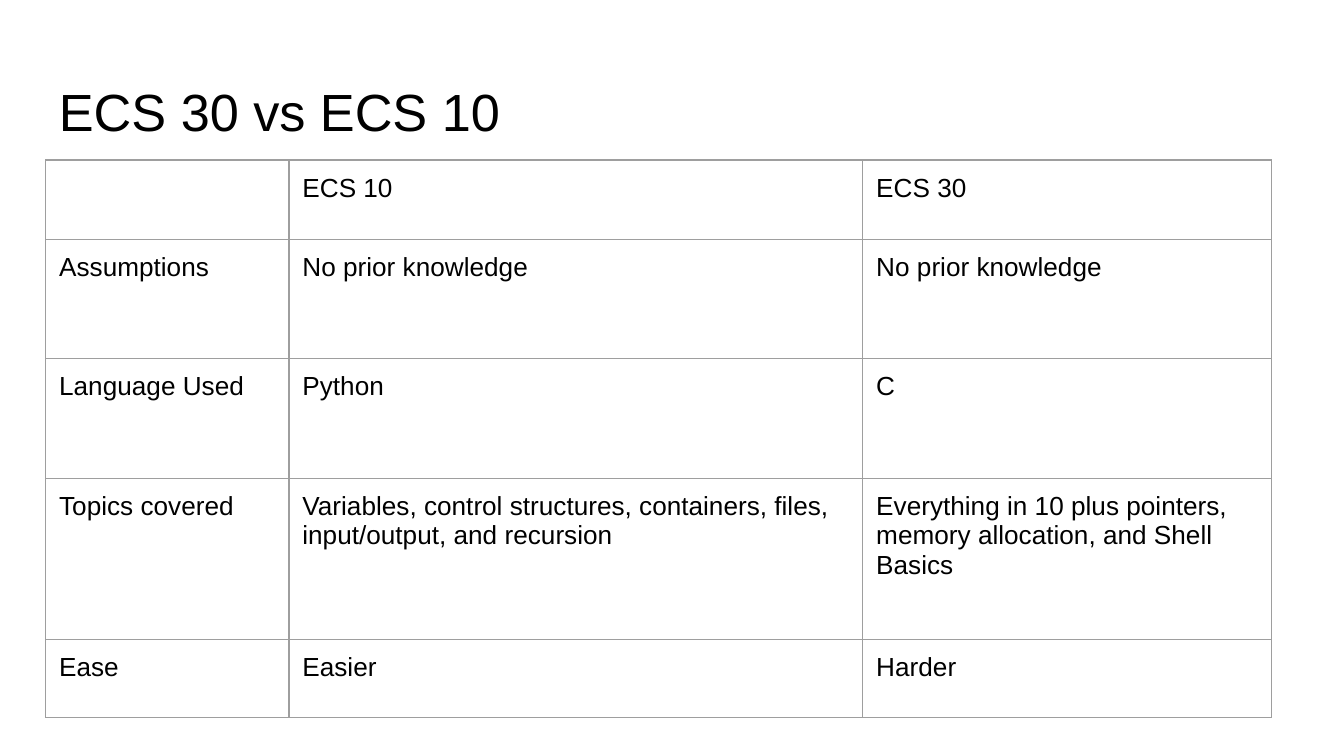
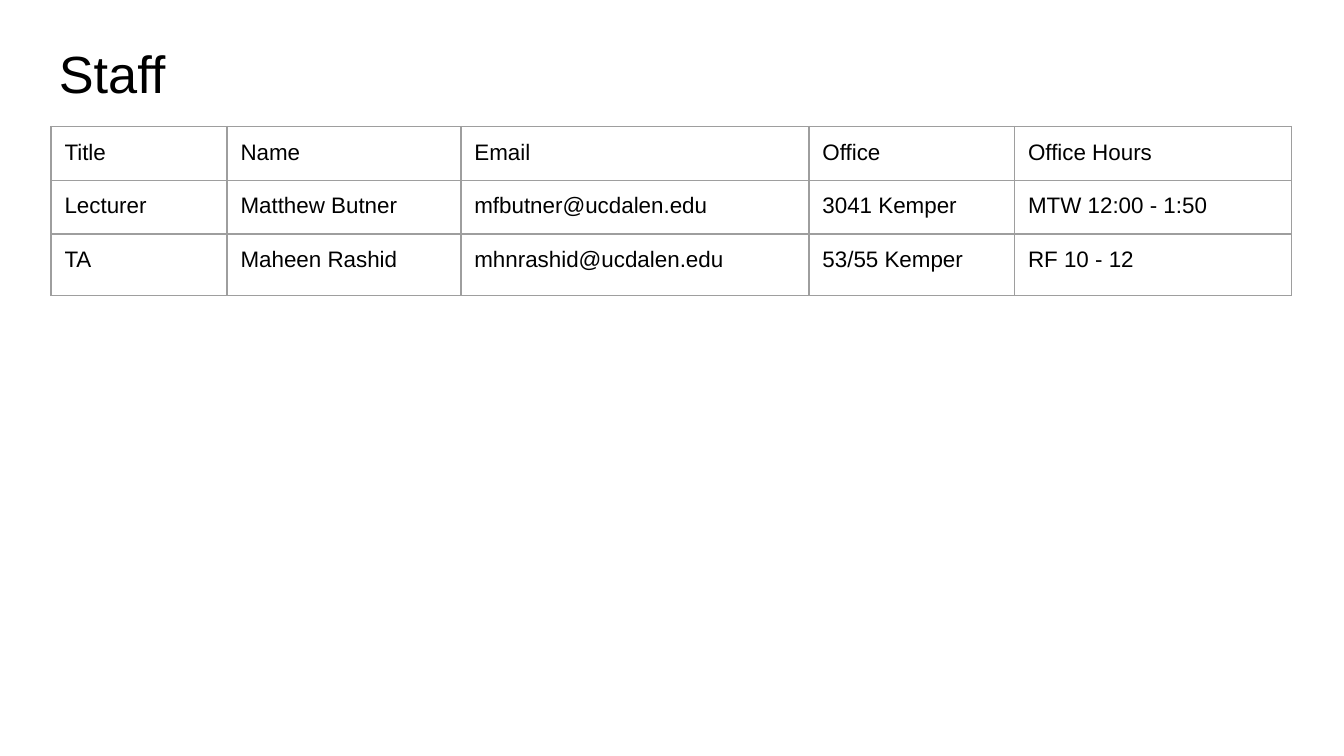
import pptx
import pptx.dml.color
import pptx.enum.text
import pptx.oxml.ns
import pptx.util
from dataclasses import dataclass
from lxml import etree


@dataclass(frozen=True)
class Theme:
    font: str = "Arial"
    ink: str = "000000"
    rule: str = "9E9E9E"
    rule_width: float = 0.75
    title_size: int = 28
    inset: float = 0.1


theme = Theme()
inch = pptx.util.Inches
anchors = pptx.enum.text.MSO_ANCHOR

prs = pptx.Presentation()
prs.slide_width = inch(10)
prs.slide_height = prs.slide_width * 9 // 16
margin = 0.034 * prs.slide_width
title_height = inch(0.63)


def write(tf, text, size, color=theme.ink, font=theme.font):
    tf.word_wrap = True
    p = tf.paragraphs[0]
    p.line_spacing = 1.0
    r = p.add_run()
    r.text = text
    r.font.size = pptx.util.Pt(size)
    r.font.name = font
    r.font.color.rgb = pptx.dml.color.RGBColor.from_string(color)


def rule_cell(cell):
    """Draw the thin rule on all four sides of a cell."""
    tc_pr = cell._tc.get_or_add_tcPr()
    for side in ("lnL", "lnR", "lnT", "lnB"):
        ln = etree.SubElement(tc_pr, pptx.oxml.ns.qn(f"a:{side}"),
                              w=str(pptx.util.Pt(theme.rule_width)))
        fill = etree.SubElement(ln, pptx.oxml.ns.qn("a:solidFill"))
        etree.SubElement(fill, pptx.oxml.ns.qn("a:srgbClr"), val=theme.rule)


slides = [
    dict(
        title="ECS 30 vs ECS 10", title_top=0.49, left=0.34, top=1.19, size=14,
        cols=[1.81, 4.27, 3.04], rows=[0.59, 0.89, 0.89, 1.2, 0.58],
        cells=[
            ["", "ECS 10", "ECS 30"],
            ["Assumptions", "No prior knowledge", "No prior knowledge"],
            ["Language Used", "Python", "C"],
            ["Topics covered",
             "Variables, control structures, containers, files, input/output, and recursion",
             "Everything in 10 plus pointers, memory allocation, and Shell Basics"],
            ["Ease", "Easier", "Harder"],
        ],
    ),
    dict(
        title="Staff", title_top=0.21, left=0.38, top=0.94, size=12,
        cols=[1.31, 1.74, 2.59, 1.53, 2.06], rows=[0.39, 0.39, 0.46],
        cells=[
            ["Title", "Name", "Email", "Office", "Office Hours"],
            ["Lecturer", "Matthew Butner", "mfbutner@ucdalen.edu",
             "3041 Kemper", "MTW 12:00 - 1:50"],
            ["TA", "Maheen Rashid", "mhnrashid@ucdalen.edu",
             "53/55 Kemper", "RF 10 - 12"],
        ],
    ),
]

for content in slides:
    s = prs.slides.add_slide(prs.slide_layouts[6])

    title = s.shapes.add_textbox(int(margin), inch(content["title_top"]),
                                 int(prs.slide_width - 2 * margin), title_height)
    tf = title.text_frame
    tf.vertical_anchor = anchors.TOP
    tf.margin_left = tf.margin_right = tf.margin_top = tf.margin_bottom = inch(theme.inset)
    write(tf, content["title"], theme.title_size)

    cols, rows = content["cols"], content["rows"]
    table = s.shapes.add_table(len(rows), len(cols),
                               inch(content["left"]), inch(content["top"]),
                               inch(sum(cols)), inch(sum(rows))).table
    table.first_row = table.horz_banding = False
    for column, width in zip(table.columns, cols):
        column.width = inch(width)
    for row, height, texts in zip(table.rows, rows, content["cells"]):
        row.height = inch(height)
        for cell, text in zip(row.cells, texts):
            cell.margin_left = cell.margin_right = inch(theme.inset)
            cell.margin_top = cell.margin_bottom = inch(theme.inset)
            cell.vertical_anchor = anchors.TOP
            rule_cell(cell)
            cell.fill.background()
            if text:
                write(cell.text_frame, text, content["size"])

prs.save("out.pptx")
